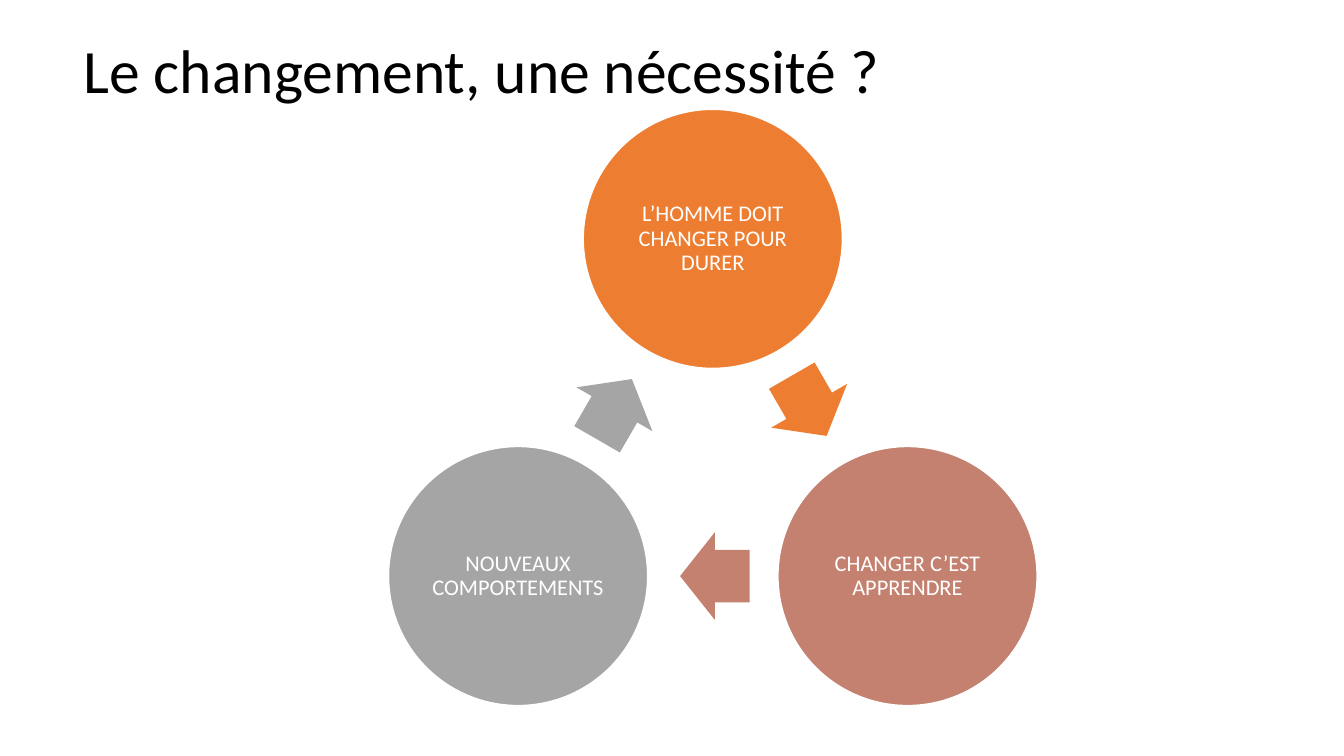
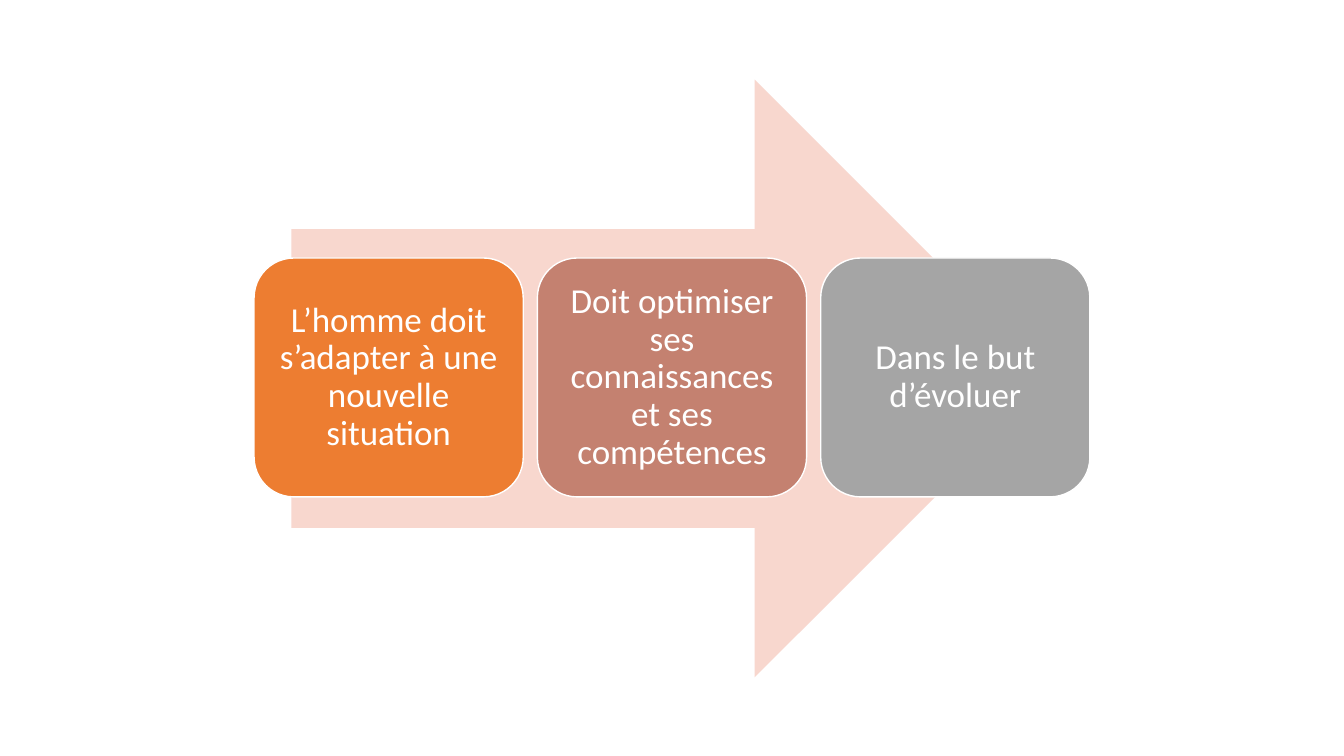
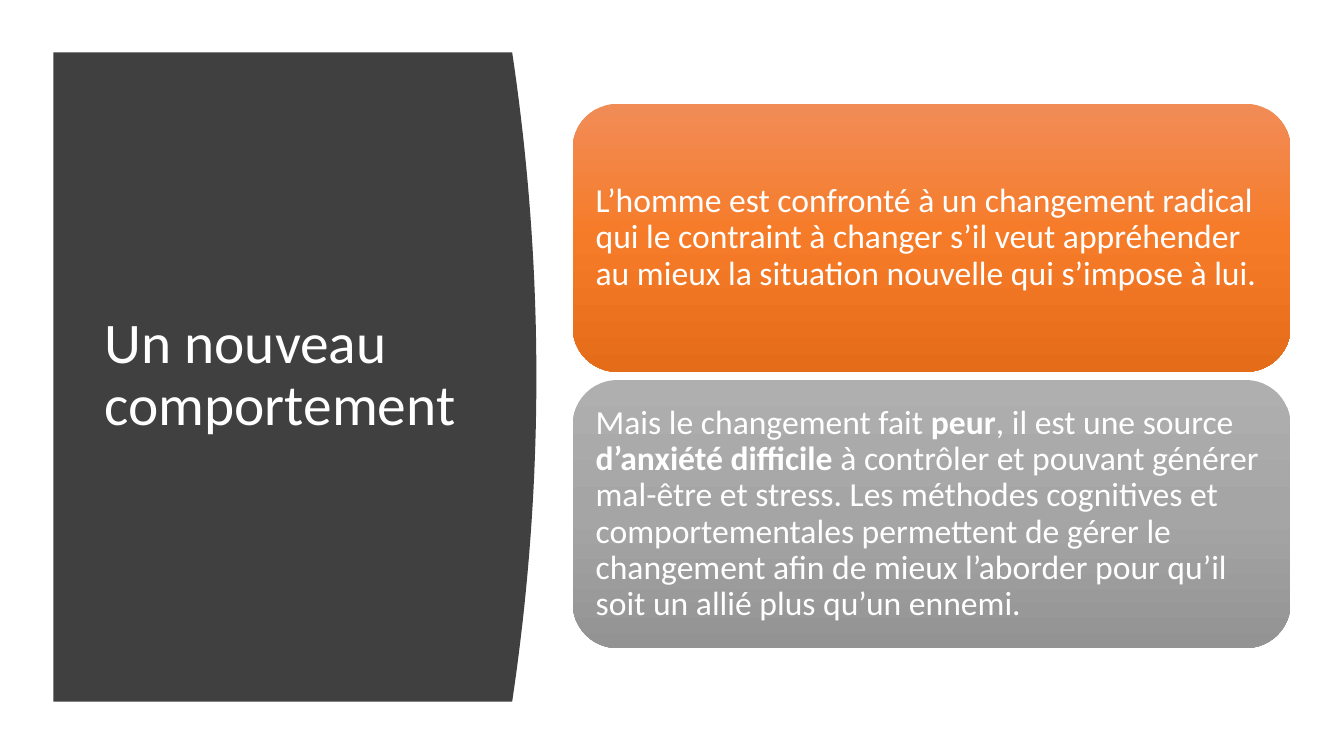
import math
from dataclasses import dataclass

import pptx
import pptx.dml.color
import pptx.enum.shapes
import pptx.enum.text
import pptx.oxml
import pptx.oxml.ns
import pptx.util
from pptx.util import Inches

SHAPE = pptx.enum.shapes.MSO_SHAPE
ALIGN = pptx.enum.text.PP_ALIGN
MIDDLE = pptx.enum.text.MSO_ANCHOR.MIDDLE


@dataclass(frozen=True)
class Theme:
    font: str = "Calibri"
    black: str = "000000"
    white: str = "FFFFFF"
    dark: str = "404040"
    pale: str = "F8D7CE"
    accents: tuple = ("ED7D31", "C48170", "A5A5A5")
    orange_fade: tuple = ("F18C57", "F67B28", "E56C19")
    grey_fade: tuple = ("AFAFAF", "A5A5A5", "939393")
    title_size: int = 44
    panel_title_size: int = 41
    circle_size: int = 16
    step_size: int = 25
    card_size: int = 24


def rgb(color):
    return pptx.dml.color.RGBColor.from_string(color)


class Deck:
    def __init__(self, theme):
        self.theme = theme
        self.prs = pptx.Presentation()
        self.prs.slide_width = Inches(13.33)
        self.prs.slide_height = Inches(7.5)
        self.s = None

    def slide(self):
        self.s = self.prs.slides.add_slide(self.prs.slide_layouts[6])

    def label(self, sp, text, size, color, align, inset=None):
        tf = sp.text_frame
        tf.word_wrap = True
        tf.vertical_anchor = MIDDLE
        if inset is not None:
            tf.margin_left = tf.margin_right = Inches(inset)
            tf.margin_top = tf.margin_bottom = Inches(inset)
        p = tf.paragraphs[0]
        p.alignment = align
        p.line_spacing = 0.9
        first, *rest = text.split("*")
        p.text = first
        for part in rest:
            p.add_run().text = part
        for i, r in enumerate(p.runs):
            r.font.name = self.theme.font
            r.font.size = pptx.util.Pt(size)
            r.font.color.rgb = rgb(color)
            r.font.bold = i % 2 == 1

    def title(self, text, x, y, w, h, size, color):
        sp = self.s.shapes.add_textbox(Inches(x), Inches(y), Inches(w), Inches(h))
        self.label(sp, text, size, color, ALIGN.LEFT)

    def paint(self, sp, fill, outlined=False):
        sp.shadow.inherit = False
        if isinstance(fill, tuple):
            self.fade(sp, fill)
        else:
            sp.fill.solid()
            sp.fill.fore_color.rgb = rgb(fill)
        if outlined:
            sp.line.color.rgb = rgb(self.theme.white)
            sp.line.width = pptx.util.Pt(1)
        else:
            sp.line.fill.background()

    def fade(self, sp, colors):
        sp.fill.gradient()
        sp.fill.gradient_angle = 270
        qn = pptx.oxml.ns.qn
        stops = sp.element.spPr.find(qn("a:gradFill")).find(qn("a:gsLst"))
        for stop in list(stops):
            stops.remove(stop)
        for i, color in enumerate(colors):
            stops.append(pptx.oxml.parse_xml(
                f'<a:gs {pptx.oxml.ns.nsdecls("a")} pos="{i * 50000}">'
                f'<a:srgbClr val="{color}"/></a:gs>'))

    def shape(self, kind, x, y, w, h, fill, outlined=False):
        sp = self.s.shapes.add_shape(kind, Inches(x), Inches(y), Inches(w), Inches(h))
        self.paint(sp, fill, outlined)
        return sp

    def circle(self, text, cx, cy, d, fill):
        sp = self.shape(SHAPE.OVAL, cx - d / 2, cy - d / 2, d, d, fill, True)
        self.label(sp, text, self.theme.circle_size, self.theme.white, ALIGN.CENTER, 0.02)

    def cycle_arrow(self, cx, cy, angle, fill):
        w, h = 0.69, 0.87
        sp = self.shape(SHAPE.RIGHT_ARROW, cx - w / 2, cy - h / 2, w, h, fill)
        sp.adjustments[0] = 0.6
        sp.adjustments[1] = 0.5
        sp.rotation = angle

    def step(self, text, x, y, w, h, fill):
        sp = self.shape(SHAPE.ROUNDED_RECTANGLE, x, y, w, h, fill, True)
        self.label(sp, text, self.theme.step_size, self.theme.white, ALIGN.CENTER, 0.1)

    def card(self, text, x, y, w, h, fill):
        sp = self.shape(SHAPE.ROUNDED_RECTANGLE, x, y, w, h, fill)
        self.label(sp, text, self.theme.card_size, self.theme.white, ALIGN.LEFT, 0.1)

    def bowed_panel(self, x, y, w, h, bulge, fill, segments=40):
        edge = []
        for i in range(segments + 1):
            t = i / segments
            dx = w - bulge * (2 * t - 1) ** 2
            edge.append((Inches(x + dx), Inches(y + h * t)))
        builder = self.s.shapes.build_freeform(Inches(x), Inches(y))
        builder.add_line_segments(edge + [(Inches(x), Inches(y + h))], close=True)
        self.paint(builder.convert_to_shape(), fill)


def cycle_slide(deck):
    theme = deck.theme
    deck.slide()
    deck.title("Le changement, une nécessité ?", 0.73, 0, 11.5, 1.45,
               theme.title_size, theme.black)
    cx, cy, radius, lag = 7.07, 4.6, 2.23, 0.02
    labels = ("L’HOMME DOIT CHANGER POUR DURER", "CHANGER C’EST APPRENDRE",
              "NOUVEAUX COMPORTEMENTS")
    for i, (text, fill) in enumerate(zip(labels, theme.accents)):
        spot = math.radians(120 * i - 90)
        deck.circle(text, cx + radius * math.cos(spot),
                    cy + radius * math.sin(spot), 2.57, fill)
        angle = 60 + 120 * i
        heading = math.radians(angle)
        middle = heading - math.pi / 2
        deck.cycle_arrow(cx + radius / 2 * math.cos(middle) - lag * math.cos(heading),
                         cy + radius / 2 * math.sin(middle) - lag * math.sin(heading),
                         angle, fill)


def steps_slide(deck):
    theme = deck.theme
    deck.slide()
    deck.shape(SHAPE.RIGHT_ARROW, 2.89, 0.79, 7.56, 5.93, theme.pale)
    steps = ("L’homme doit s’adapter à une nouvelle situation",
             "Doit optimiser ses connaissances et ses compétences",
             "Dans le but d’évoluer")
    for i, (text, fill) in enumerate(zip(steps, theme.accents)):
        deck.step(text, 2.52 + 2.81 * i, 2.56, 2.67, 2.37, fill)


def behaviour_slide(deck):
    theme = deck.theme
    deck.slide()
    deck.bowed_panel(0.53, 0.52, 4.79, 6.44, 0.24, theme.dark)
    deck.title("Un nouveau comportement", 0.94, 1.11, 3.74, 5.24,
               theme.panel_title_size, theme.white)
    cards = (
        ("L’homme est confronté à un changement radical qui le contraint à changer "
         "s’il veut appréhender au mieux la situation nouvelle qui s’impose à lui.",
         theme.orange_fade),
        ("Mais le changement fait *peur*, il est une source *d’anxiété difficile *"
         "à contrôler et pouvant générer mal-être et stress. Les méthodes cognitives "
         "et comportementales permettent de gérer le changement afin de mieux "
         "l’aborder pour qu’il soit un allié plus qu’un ennemi.",
         theme.grey_fade),
    )
    for i, (text, fill) in enumerate(cards):
        deck.card(text, 5.68, 1.03 + 2.74 * i, 7.12, 2.66, fill)


def main():
    deck = Deck(Theme())
    cycle_slide(deck)
    steps_slide(deck)
    behaviour_slide(deck)
    deck.prs.save("out.pptx")


if __name__ == "__main__":
    main()
